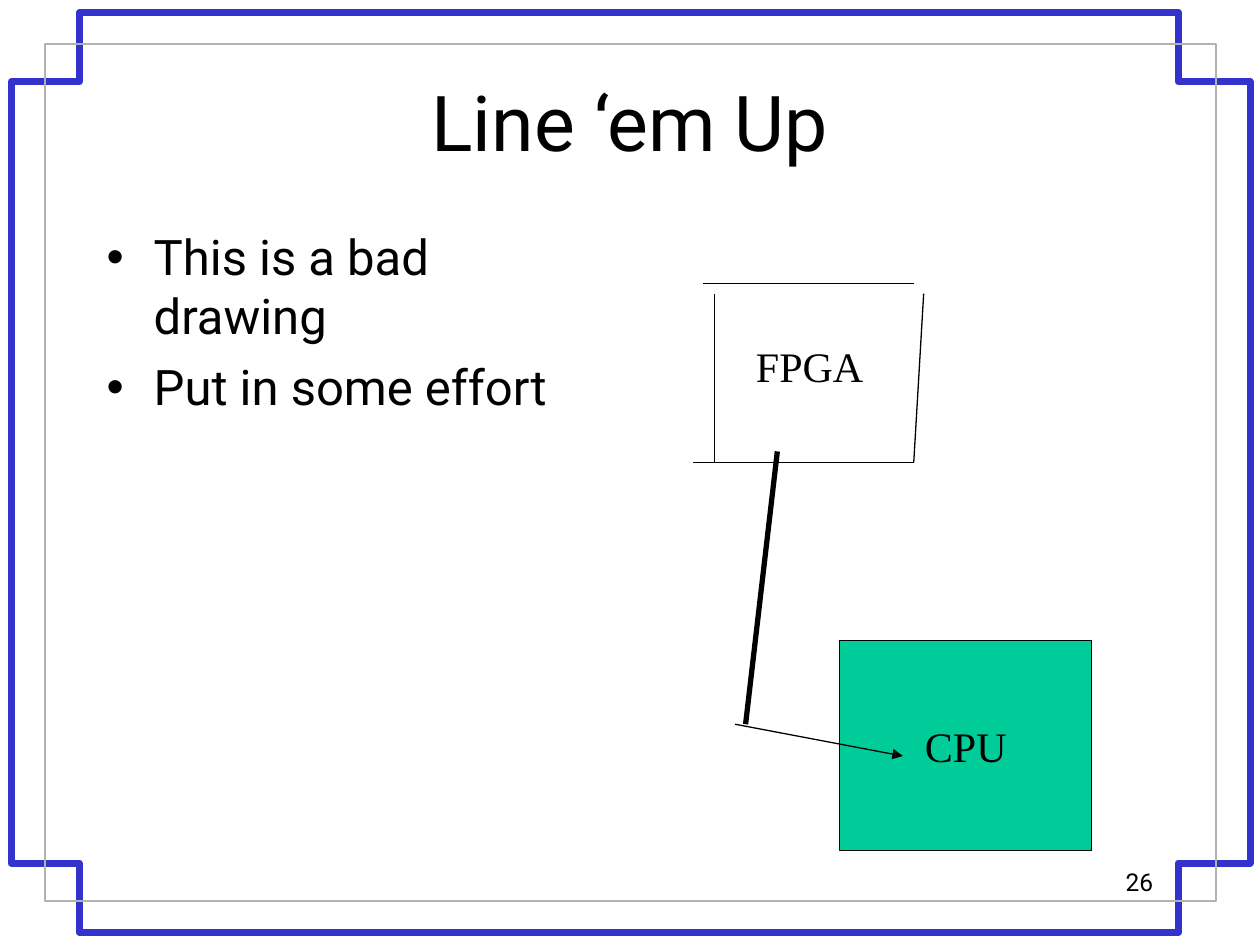
"""Build the "Line 'em Up" slide: a deliberately careless block diagram."""
from lxml import etree
from pptx import Presentation
from pptx.dml.color import RGBColor
from pptx.enum.shapes import MSO_CONNECTOR, MSO_SHAPE
from pptx.enum.text import MSO_ANCHOR, PP_ALIGN
from pptx.oxml.ns import qn
from pptx.util import Cm, Pt

LEFT, CENTER, RIGHT = PP_ALIGN.LEFT, PP_ALIGN.CENTER, PP_ALIGN.RIGHT
TOP, MIDDLE = MSO_ANCHOR.TOP, MSO_ANCHOR.MIDDLE
STRAIGHT, RECTANGLE = MSO_CONNECTOR.STRAIGHT, MSO_SHAPE.RECTANGLE

THEME = {
    "ink": "000000", "frame": "3333CC", "inner": "B2B2B2", "cpu": "00CC99",
    "sans": "Roboto", "serif": "Times New Roman",
    "title": 44, "body": 28, "label": 24, "number": 14,
    "thin": 0.75, "inner_width": 1, "bus": 3, "frame_width": 4,
}

TITLE = ("Line ‘em Up", (1.9, 0.84, 21.6, 3.18))
BULLETS = (["This is a bad drawing", "Put in some effort"], (1.9, 4.45, 10.6, 12.5))
FPGA = ("FPGA", (14.99, 6.73, 2.67, 1.27))
CPU = ("CPU", (16.93, 12.91, 5.08, 4.23))
PAGE = ("26", (18.2, 17.35, 5.3, 1.27))
FRAME_X = (0.23, 1.6, 23.75, 25.2)
FRAME_Y = (0.25, 1.65, 17.4, 18.8)
INNER_X, INNER_Y = (0.91, 24.51), (0.89, 18.16)
FPGA_SIDES = [
    ((14.4, 5.92), (14.4, 9.32)),
    ((14.17, 5.72), (18.42, 5.72)),
    ((18.62, 5.92), (18.42, 9.32)),
    ((18.42, 9.32), (13.97, 9.32)),
]
BUS = ((15.67, 9.1), (15.03, 14.6))
ARROW = ((14.82, 14.6), (18.2, 15.24))


def color(name):
    return RGBColor.from_string(THEME[name])


def box(values):
    return [Cm(v) for v in values]


def set_line(s, name, width):
    s.line.color.rgb = color(name)
    s.line.width = Pt(THEME[width])


def write(s, lines, size, font="sans", align=LEFT, anchor=TOP, wrap=True):
    tf = s.text_frame
    tf.text = "\n".join(lines)
    tf.word_wrap = wrap
    tf.vertical_anchor = anchor
    for p in tf.paragraphs:
        p.alignment = align
        for r in p.runs:
            r.font.size = Pt(THEME[size])
            r.font.name = THEME[font]
            r.font.color.rgb = color("ink")
    return tf


def add_outline(slide, points, name, width):
    points = [(Cm(x), Cm(y)) for x, y in points]
    fb = slide.shapes.build_freeform(*points[0], scale=1.0)
    fb.add_line_segments(points[1:], close=True)
    s = fb.convert_to_shape()
    s.shadow.inherit = False
    s.fill.background()
    set_line(s, name, width)
    etree.SubElement(s.line._get_or_add_ln(), qn("a:round"))


def add_line(slide, ends, width="thin", arrow=False):
    start, end = ends
    s = slide.shapes.add_connector(STRAIGHT, *box(start + end))
    set_line(s, "ink", width)
    if arrow:
        etree.SubElement(s.line._get_or_add_ln(), qn("a:tailEnd"), type="triangle")
    etree.SubElement(s._element.spPr, qn("a:effectLst"))


def add_frames(slide):
    x0, x1, x2, x3 = FRAME_X
    y0, y1, y2, y3 = FRAME_Y
    cross = [(x0, y1), (x1, y1), (x1, y0), (x2, y0), (x2, y1), (x3, y1),
             (x3, y2), (x2, y2), (x2, y3), (x1, y3), (x1, y2), (x0, y2)]
    add_outline(slide, cross, "frame", "frame_width")
    (left, right), (top, bottom) = INNER_X, INNER_Y
    inner = [(left, top), (right, top), (right, bottom), (left, bottom)]
    add_outline(slide, inner, "inner", "inner_width")


def add_title(slide):
    text, place = TITLE
    s = slide.shapes.title
    s.left, s.top, s.width, s.height = box(place)
    write(s, [text], "title", align=CENTER, anchor=MIDDLE)


def add_bullets(slide):
    lines, place = BULLETS
    tf = write(slide.shapes.add_textbox(*box(place)), lines, "body")
    for p in tf.paragraphs:
        p.space_before = Pt(7)
        pPr = p._p.get_or_add_pPr()
        pPr.set("marL", str(Cm(0.95)))
        pPr.set("indent", str(-Cm(0.95)))
        etree.SubElement(pPr, qn("a:buFont"), typeface="Arial")
        etree.SubElement(pPr, qn("a:buChar"), char="•")


def add_diagram(slide):
    for side in FPGA_SIDES:
        add_line(slide, side)
    text, place = FPGA
    write(slide.shapes.add_textbox(*box(place)), [text], "label", "serif", wrap=False)
    text, place = CPU
    s = slide.shapes.add_shape(RECTANGLE, *box(place))
    s.shadow.inherit = False
    s.fill.solid()
    s.fill.fore_color.rgb = color("cpu")
    set_line(s, "ink", "thin")
    write(s, [text], "label", "serif", CENTER, MIDDLE, False)
    add_line(slide, BUS, "bus")
    add_line(slide, ARROW, arrow=True)


def main():
    prs = Presentation()
    prs.slide_width, prs.slide_height = Cm(25.4), Cm(19.05)
    slide = prs.slides.add_slide(prs.slide_layouts[5])
    add_frames(slide)
    add_title(slide)
    add_bullets(slide)
    add_diagram(slide)
    text, place = PAGE
    write(slide.shapes.add_textbox(*box(place)), [text], "number", align=RIGHT)
    prs.save("out.pptx")


if __name__ == "__main__":
    main()
